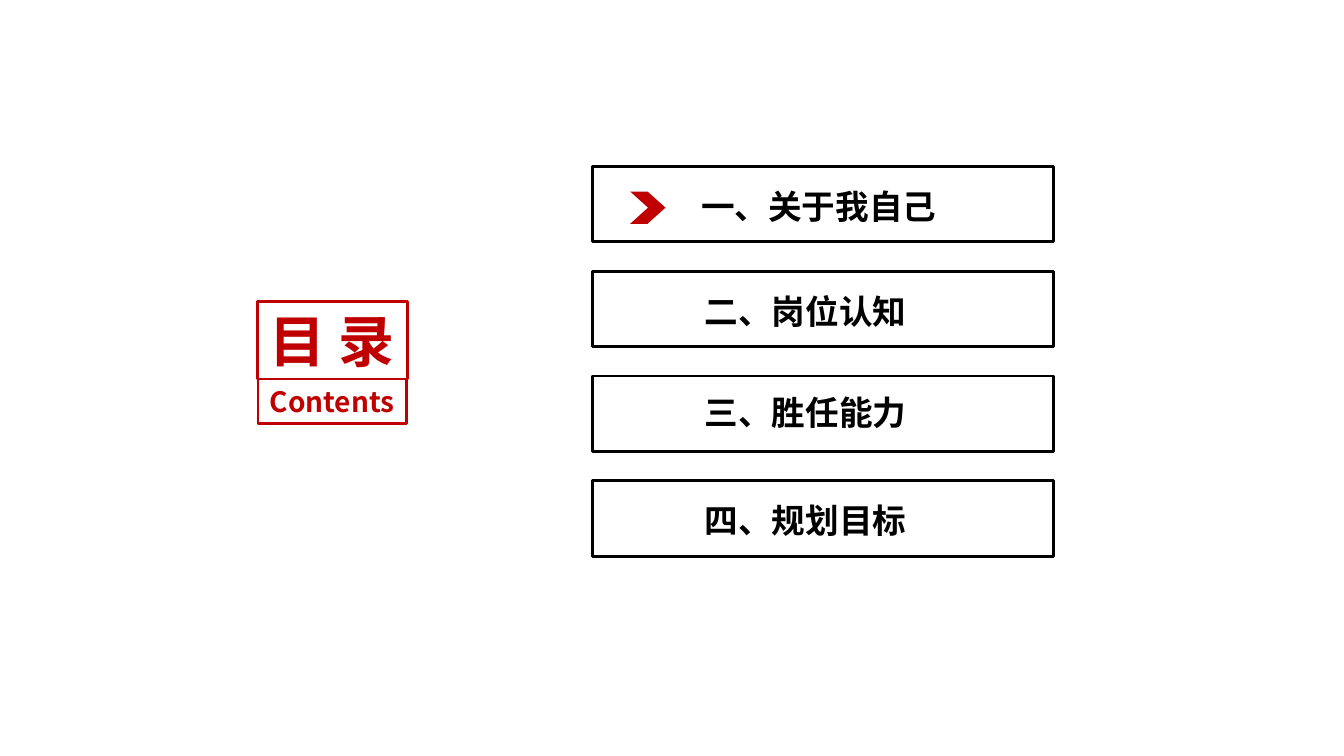
from dataclasses import dataclass

from lxml import etree
from pptx import Presentation
from pptx.dml.color import RGBColor
from pptx.enum import shapes, text
from pptx.oxml.ns import qn
from pptx.util import Inches, Pt

TITLE_PARTS = [
    ("目 录", 40, (2.55, 2.99, 1.49, 0.77)),
    ("Contents", 20, (2.56, 3.76, 1.47, 0.44)),
]
CHAPTERS = [
    ("一、关于我自己", (6.88, 1.81, 2.48, 0.46)),
    ("二、岗位认知", (6.92, 2.86, 2.14, 0.46)),
    ("三、胜任能力", (6.92, 3.86, 2.14, 0.46)),
    ("四、规划目标", (6.92, 4.93, 2.14, 0.46)),
]
FRAME_LEFT, FRAME_TOP, FRAME_WIDTH, FRAME_HEIGHT = 5.88, 1.65, 4.57, 0.75
FRAME_PITCH = 1.04
MARKER = (6.25, 1.9, 0.35, 0.32)


@dataclass
class Theme:
    font: str = "Noto Sans CJK SC"
    red: str = "C00000"
    black: str = "000000"
    white: str = "FFFFFF"
    chapter_size: int = 24
    line_width: int = 2


THEME = Theme()


def add_block(parent, kind, place, fill, line=None):
    block = parent.add_shape(kind, *map(Inches, place))
    block.shadow.inherit = False
    block.fill.solid()
    block.fill.fore_color.rgb = RGBColor.from_string(fill)
    if line:
        block.line.color.rgb = RGBColor.from_string(line)
        block.line.width = Pt(THEME.line_width)
    else:
        block.line.fill.background()
    return block


def write(holder, wording, size, color, inset_x, inset_y):
    frame = holder.text_frame
    frame.word_wrap = False
    frame.vertical_anchor = text.MSO_ANCHOR.MIDDLE
    frame.margin_left = frame.margin_right = Inches(inset_x)
    frame.margin_top = frame.margin_bottom = Inches(inset_y)
    paragraph = frame.paragraphs[0]
    paragraph.alignment = text.PP_ALIGN.CENTER
    run = paragraph.add_run()
    run.text = wording
    run.font.size = Pt(size)
    run.font.bold = True
    run.font.name = THEME.font
    run.font.color.rgb = RGBColor.from_string(color)
    east_asian = etree.SubElement(run.font._element, qn("a:ea"))
    east_asian.set("typeface", THEME.font)


def main():
    deck = Presentation()
    deck.slide_width, deck.slide_height = Inches(13.33), Inches(7.5)
    slide = deck.slides.add_slide(deck.slide_layouts[6])
    rectangle = shapes.MSO_SHAPE.RECTANGLE

    title = slide.shapes.add_group_shape()
    for wording, size, place in TITLE_PARTS:
        part = add_block(title.shapes, rectangle, place, THEME.white, THEME.red)
        write(part, wording, size, THEME.red, inset_x=0.1, inset_y=0.05)

    for index, (wording, place) in enumerate(CHAPTERS):
        top = FRAME_TOP + index * FRAME_PITCH
        add_block(slide.shapes, rectangle,
                  (FRAME_LEFT, top, FRAME_WIDTH, FRAME_HEIGHT),
                  THEME.white, THEME.black)
        label = slide.shapes.add_textbox(*map(Inches, place))
        write(label, wording, THEME.chapter_size, THEME.black,
              inset_x=0.06, inset_y=0.03)

    marker = add_block(slide.shapes, shapes.MSO_SHAPE.CHEVRON, MARKER, THEME.red)
    marker.adjustments[0] = 0.555

    deck.save("out.pptx")


if __name__ == "__main__":
    main()
